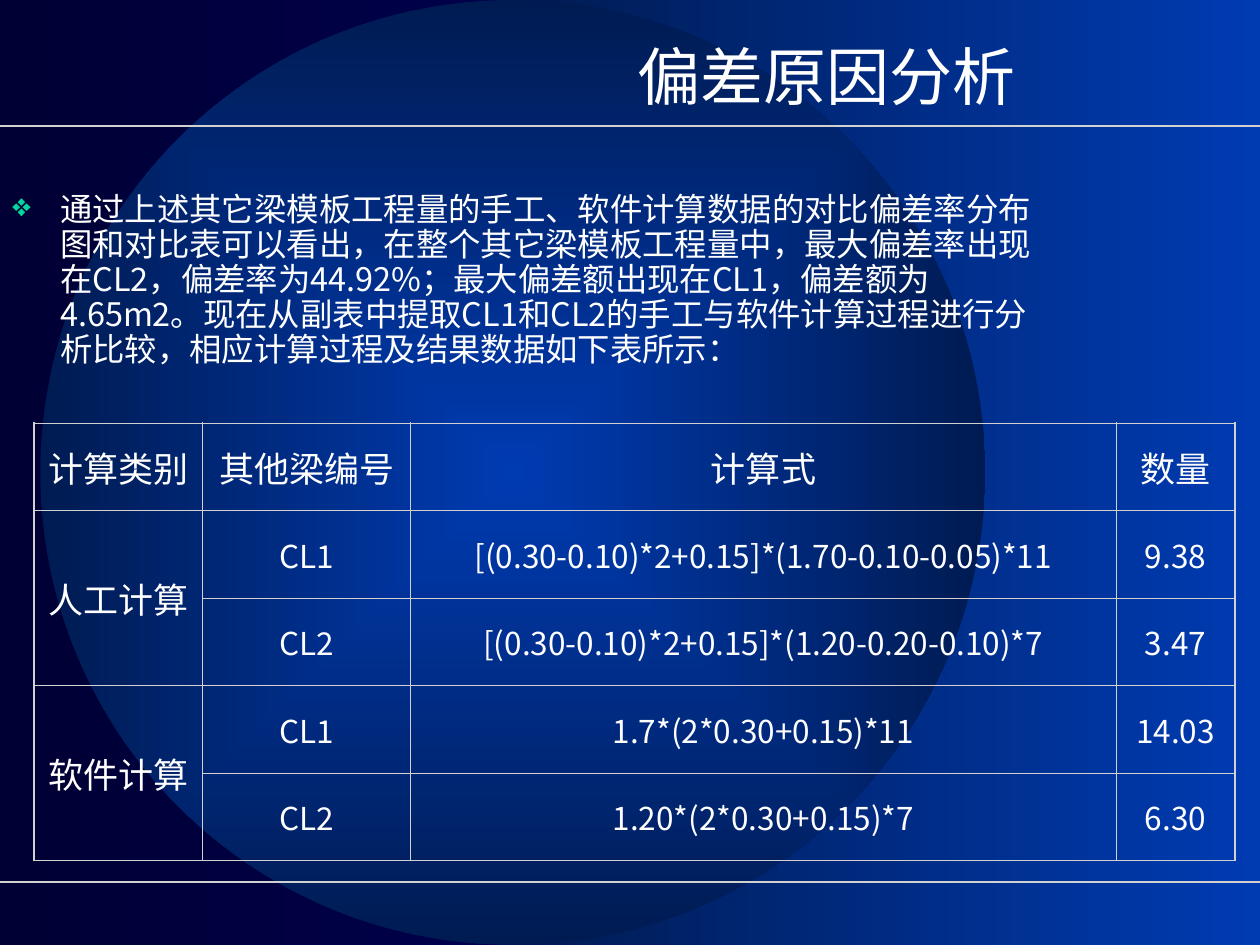
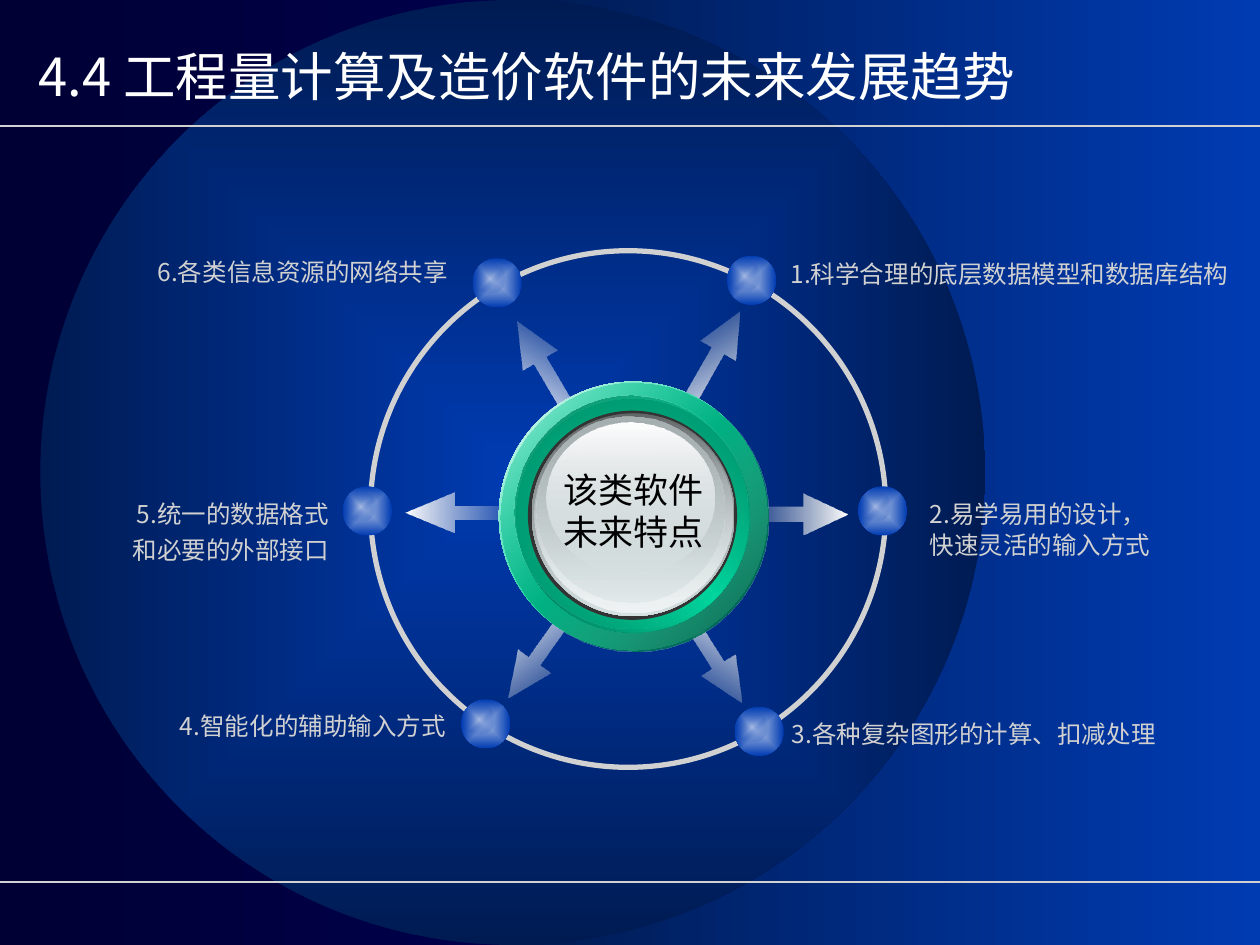
from lxml import etree
from pptx import Presentation
from pptx.dml.color import RGBColor
from pptx.enum.shapes import MSO_CONNECTOR, MSO_SHAPE
from pptx.enum.text import MSO_ANCHOR, PP_ALIGN
from pptx.oxml.ns import qn
from pptx.util import Inches, Pt

LEFT, CENTER, RIGHT = PP_ALIGN.LEFT, PP_ALIGN.CENTER, PP_ALIGN.RIGHT
TOP, MIDDLE = MSO_ANCHOR.TOP, MSO_ANCHOR.MIDDLE
RECTANGLE, ELLIPSE, ARROW = MSO_SHAPE.RECTANGLE, MSO_SHAPE.OVAL, MSO_SHAPE.RIGHT_ARROW
STRAIGHT = MSO_CONNECTOR.STRAIGHT


class Theme:
    latin, chinese = "Arial", "Noto Sans CJK SC"
    white, black, gray, dark = "FFFFFF", "000000", "D1D1D1", "333333"
    green = "00D69E"
    # Gradient stops: position, colour, opacity in percent
    night = [(0, "000072", 100), (100, "000034", 100)]
    blue = [(0, "003BB2", 100), (100, "001B52", 100)]
    arrow = [(0, "FFFFFF", 100), (100, "E2E2E2", 0)]
    ball = [(0, "A8BCE4", 100), (100, "003BB2", 100)]
    shine = [(0, "A8BCE4", 100), (100, "003BB2", 0)]
    body_size, head_size, cell_size, label_size = 18.5, 20, 18, 14


def paint(element, stops, angle):
    """Turn the first solid fill into a gradient; no angle means from the centre."""
    solid = element.find(".//" + qn("a:solidFill"))
    gradient = etree.Element(qn("a:gradFill"), rotWithShape="0")
    stop_list = etree.SubElement(gradient, qn("a:gsLst"))
    for position, color, opacity in stops:
        stop = etree.SubElement(stop_list, qn("a:gs"), pos=str(position * 1000))
        color_element = etree.SubElement(stop, qn("a:srgbClr"), val=color)
        if opacity < 100:
            etree.SubElement(color_element, qn("a:alpha"), val=str(opacity * 1000))
    if angle is None:
        center = etree.SubElement(gradient, qn("a:path"), path="rect")
        etree.SubElement(center, qn("a:fillToRect"), l="50000", t="50000", r="50000", b="50000")
    else:
        etree.SubElement(gradient, qn("a:lin"), ang=str(round(angle * 60000)), scaled="0")
    solid.getparent().replace(solid, gradient)


def write(frame, lines, size, color, font, align=LEFT, anchor=TOP, wrap=True, before=0):
    """Fill a text frame; a line is a list of (text, size) runs, size None for the default."""
    frame.word_wrap = wrap
    frame.vertical_anchor = anchor
    for index, runs in enumerate(lines):
        paragraph = frame.paragraphs[0] if index == 0 else frame.add_paragraph()
        paragraph.alignment = align
        paragraph.space_before = Pt(before)
        for text, run_size in runs:
            run = paragraph.add_run()
            run.text = text
            run.font.size = Pt(run_size or size)
            run.font.name = font
            run.font.color.rgb = RGBColor.from_string(color)
            etree.SubElement(run.font._element, qn("a:ea"), typeface=Theme.chinese)


presentation = Presentation()
presentation.slide_width, presentation.slide_height = Inches(10), Inches(7.5)

# Shared background, rules and title
titles = [
    ("偏差原因分析", 36, Theme.latin),
    ("4.4 工程量计算及造价软件的未来发展趋势", 30, Theme.chinese),
]
slides = []
for title, title_size, title_font in titles:
    slide = presentation.slides.add_slide(presentation.slide_layouts[6])
    slides.append(slide)
    slide.background.fill.solid()
    slide.background.fill.fore_color.rgb = RGBColor.from_string(Theme.night[0][1])
    paint(slide.element, Theme.night, 180)
    for preset, box, angle in [(RECTANGLE, (4.08, 0, 5.92, 7.5), 180),
                               (ELLIPSE, (0.32, 0, 7.5, 7.5), None)]:
        shape = slide.shapes.add_shape(preset, *map(Inches, box))
        shape.shadow.inherit = False
        shape.line.fill.background()
        shape.fill.solid()
        paint(shape.element, Theme.blue, angle)
    for y in (1, 7):
        rule = slide.shapes.add_connector(STRAIGHT, 0, Inches(y), Inches(10), Inches(y))
        rule.line.color.rgb = RGBColor.from_string(Theme.gray)
        rule.line.width = Pt(1)
        etree.SubElement(rule.element.spPr, qn("a:effectLst"))
    title_box = slide.shapes.add_textbox(0, Inches(0.14), Inches(8.16), Inches(0.92))
    write(title_box.text_frame, [[(title, None)]], title_size, Theme.white, title_font,
          RIGHT, MIDDLE)

analysis, trends = slides

# Slide 1: explanation with a bullet
body = analysis.shapes.add_textbox(0, Inches(1.18), Inches(8.47), Inches(2.1))
explanation = (
    "通过上述其它梁模板工程量的手工、软件计算数据的对比偏差率分布图和对比表可以看出，"
    "在整个其它梁模板工程量中，最大偏差率出现在CL2，偏差率为44.92%；"
    "最大偏差额出现在CL1，偏差额为4.65m2。"
    "现在从副表中提取CL1和CL2的手工与软件计算过程进行分析比较，"
    "相应计算过程及结果数据如下表所示："
)
write(body.text_frame, [[(explanation, None)]], Theme.body_size, Theme.white, Theme.chinese,
      anchor=MIDDLE, before=5)
paragraph = body.text_frame.paragraphs[0]
paragraph.line_spacing = 0.9
properties = paragraph._p.get_or_add_pPr()
properties.set("marL", str(Inches(0.38)))
properties.set("indent", str(-Inches(0.38)))
bullet_color = etree.SubElement(properties, qn("a:buClr"))
etree.SubElement(bullet_color, qn("a:srgbClr"), val=Theme.green)
etree.SubElement(properties, qn("a:buChar"), char="❖")

# Slide 1: calculation table
rows = [
    ["计算类别", "其他梁编号", "计算式", "数量"],
    ["人工计算", "CL1", "[(0.30-0.10)*2+0.15]*(1.70-0.10-0.05)*11", "9.38"],
    ["", "CL2", "[(0.30-0.10)*2+0.15]*(1.20-0.20-0.10)*7", "3.47"],
    ["软件计算", "CL1", "1.7*(2*0.30+0.15)*11", "14.03"],
    ["", "CL2", "1.20*(2*0.30+0.15)*7", "6.30"],
]
column_widths = [1.34, 1.65, 5.6, 0.94]
last_row, last_column = len(rows) - 1, len(column_widths) - 1
table = analysis.shapes.add_table(len(rows), len(column_widths), Inches(0.27), Inches(3.36),
                                  Inches(9.53), Inches(3.47)).table
table.first_row = table.horz_banding = False
for column, width in zip(table.columns, column_widths):
    column.width = Inches(width)
for r, row in enumerate(rows):
    for c, text in enumerate(row):
        cell = table.cell(r, c)
        cell.vertical_anchor = MIDDLE
        cell.fill.background()
        is_head = r == 0 or c == 0
        if text:
            write(cell.text_frame, [[(text, None)]],
                  Theme.head_size if is_head else Theme.cell_size, Theme.white,
                  Theme.chinese, CENTER, MIDDLE, before=5 if is_head else 4.5)
        outer_edges = [("L", c == 0), ("R", c == last_column), ("T", r == 0), ("B", r == last_row)]
        cell_properties = cell._tc.get_or_add_tcPr()
        for position, (side, is_outer) in enumerate(outer_edges):
            border = etree.Element(qn("a:ln" + side), w=str(Pt(1.08 if is_outer else 0.45)))
            border_fill = etree.SubElement(border, qn("a:solidFill"))
            etree.SubElement(border_fill, qn("a:srgbClr"), val=Theme.gray)
            cell_properties.insert(position, border)
for r in (1, 3):
    table.cell(r, 0).merge(table.cell(r + 1, 0))

# Slide 2: arrows (left, top, length, rotation, gradient angle)
arrows = [
    (5.22, 2.69, 0.87, 299.6, 240),
    (5.22, 5.05, 0.87, 57.8, 122),
    (3.89, 2.77, 0.87, 239.5, 300),
    (3.85, 5.02, 0.87, 125.6, 54),
    (5.86, 3.92, 0.87, 0, 180),
    (3.22, 3.91, 0.94, 180, 0),
]
for left, top, length, rotation, angle in arrows:
    arrow = trends.shapes.add_shape(ARROW, Inches(left), Inches(top), Inches(length), Inches(0.32))
    arrow.rotation = rotation
    arrow.adjustments[0] = 0.35
    arrow.adjustments[1] = 1.21 if length > 0.9 else 1.11
    arrow.shadow.inherit = False
    arrow.line.fill.background()
    arrow.fill.solid()
    paint(arrow.element, Theme.arrow, angle)

# Slide 2: ring with six balls
ring = trends.shapes.add_shape(ELLIPSE, Inches(2.94), Inches(1.99), Inches(4.09), Inches(4.1))
ring.shadow.inherit = False
ring.fill.background()
ring.line.color.rgb = RGBColor.from_string(Theme.gray)
ring.line.width = Pt(3)
balls = [(3.75, 2.05), (2.72, 3.86), (3.66, 5.55), (5.77, 2.03), (6.81, 3.86), (5.83, 5.61)]
for left, top in balls:
    ball = trends.shapes.add_group_shape()
    for dx, dy, size, stops in [(0, 0, 0.39, Theme.ball), (0.02, 0.04, 0.24, Theme.shine)]:
        disc = ball.shapes.add_shape(ELLIPSE, Inches(left + dx), Inches(top + dy),
                                     Inches(size), Inches(size))
        disc.shadow.inherit = False
        disc.line.fill.background()
        disc.fill.solid()
        paint(disc.element, stops, None)

# Slide 2: central button, from back to front (left, top, width, height, stops, angle)
button = [
    (3.96, 3.03, 2.13, 2.13, [(0, "FEFEFE", 100), (50, Theme.green, 100), (100, "FEFEFE", 100)], 225),
    (3.97, 3.04, 2.13, 2.13, [(0, "006248", 100), (100, Theme.green, 32)], 225),
    (4.1, 3.17, 1.85, 1.85, [(0, "007355", 100), (50, Theme.green, 100), (100, "007355", 100)], 135),
    (4.08, 3.14, 1.85, 1.85, [(0, Theme.green, 0), (100, "008763", 100)], 225),
    (4.19, 3.26, 1.66, 1.66, None, None),
    (4.22, 3.28, 1.61, 1.61, [(0, "626768", 100), (100, "D6E1E2", 100)], 90),
    (4.24, 3.29, 1.57, 1.57, [(0, "D6E1E2", 0), (100, "EFF3F3", 100)], 90),
    (4.26, 3.31, 1.49, 1.47, [(0, "A8B1B2", 100), (100, "D6E1E2", 48)], 90),
    (4.34, 3.35, 1.33, 1.19, [(0, "FEFEFE", 100), (100, "D6E1E2", 38)], 90),
]
for *box, stops, angle in button:
    disc = trends.shapes.add_shape(ELLIPSE, *map(Inches, box))
    disc.shadow.inherit = False
    disc.line.fill.background()
    disc.fill.solid()
    disc.fill.fore_color.rgb = RGBColor.from_string(Theme.dark)
    if stops:
        paint(disc.element, stops, angle)
center_box = trends.shapes.add_textbox(Inches(4.37), Inches(3.67), Inches(1.31), Inches(0.77))
write(center_box.text_frame, [[("该类软件", None)], [("未来特点", None)]], Theme.head_size,
      Theme.black, Theme.latin, CENTER, wrap=False)

# Slide 2: labels (left, top, width, height, alignment, lines of runs)
labels = [
    (6.15, 1.95, 3.78, 0.4, CENTER, [[("1.科学合理的底层数据模型和数据库结构", None), (" ", 18)]]),
    (1.1, 1.99, 2.6, 0.34, RIGHT, [[("6.各类信息资源的网络共享 ", None)]]),
    (7.28, 3.91, 2, 0.59, LEFT, [[("2.易学易用的设计，", None)],
                                 [("快速灵活的输入方式", None), (" ", 15)]]),
    (6.16, 5.66, 3.18, 0.34, CENTER, [[("3.各种复杂图形的计算、扣减处理 ", None)]]),
    (0.9, 3.91, 1.81, 0.64, RIGHT, [[("5.统一的数据格式", None)],
                                    [("和必要的外部接口", None), (" ", 18)]]),
    (1.28, 5.59, 2.36, 0.34, RIGHT, [[("4.智能化的辅助输入方式", None)]]),
]
for *box, align, lines in labels:
    label = trends.shapes.add_textbox(*map(Inches, box))
    write(label.text_frame, lines, Theme.label_size, Theme.gray, Theme.chinese, align, wrap=False)

presentation.save("out.pptx")
